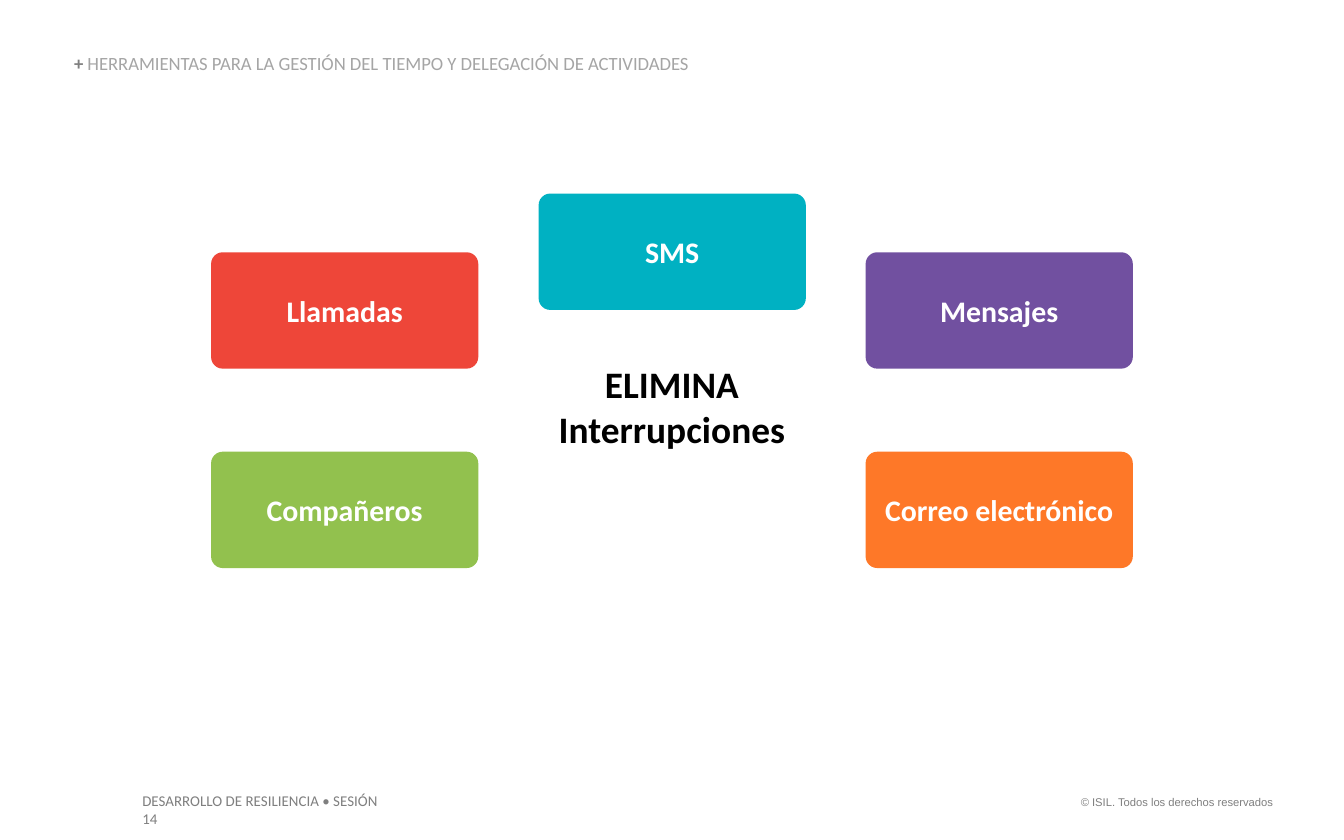
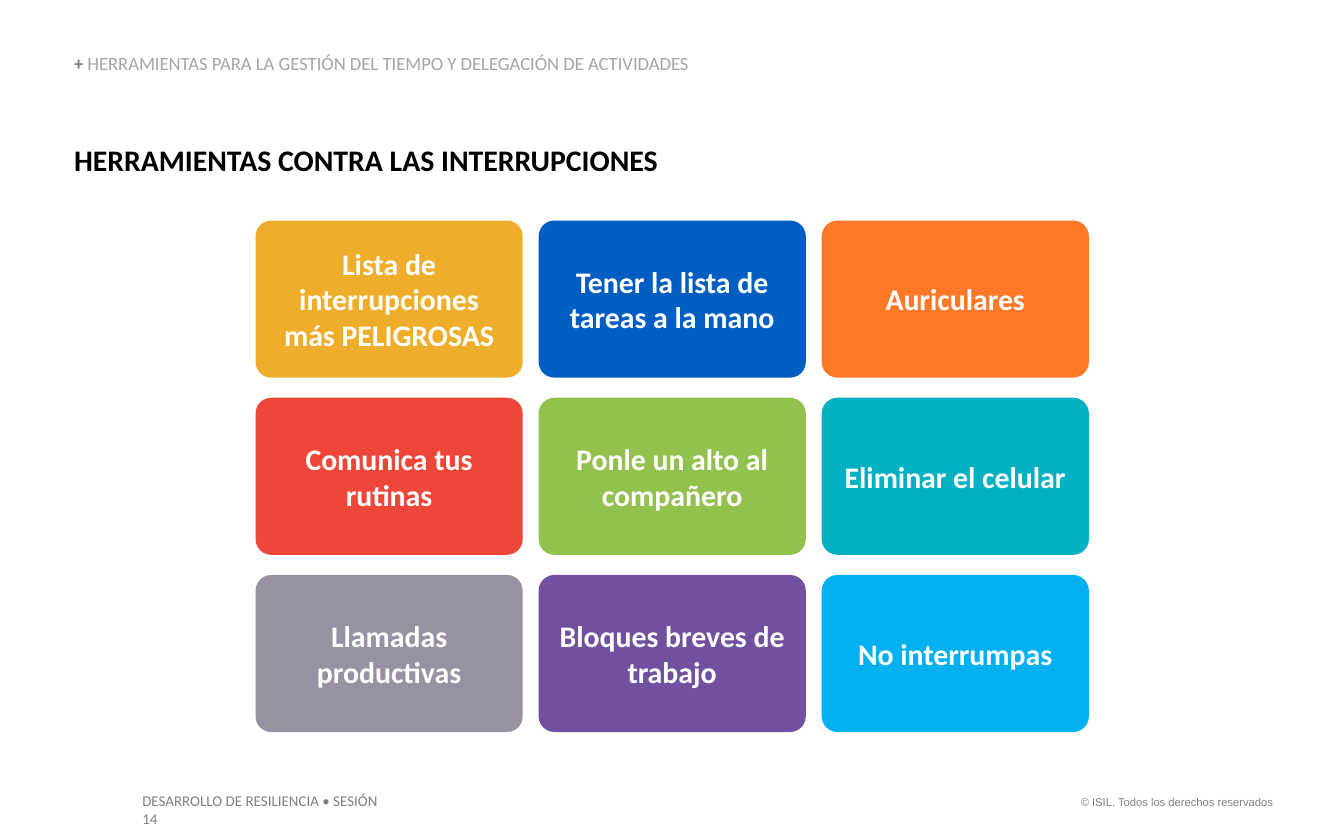
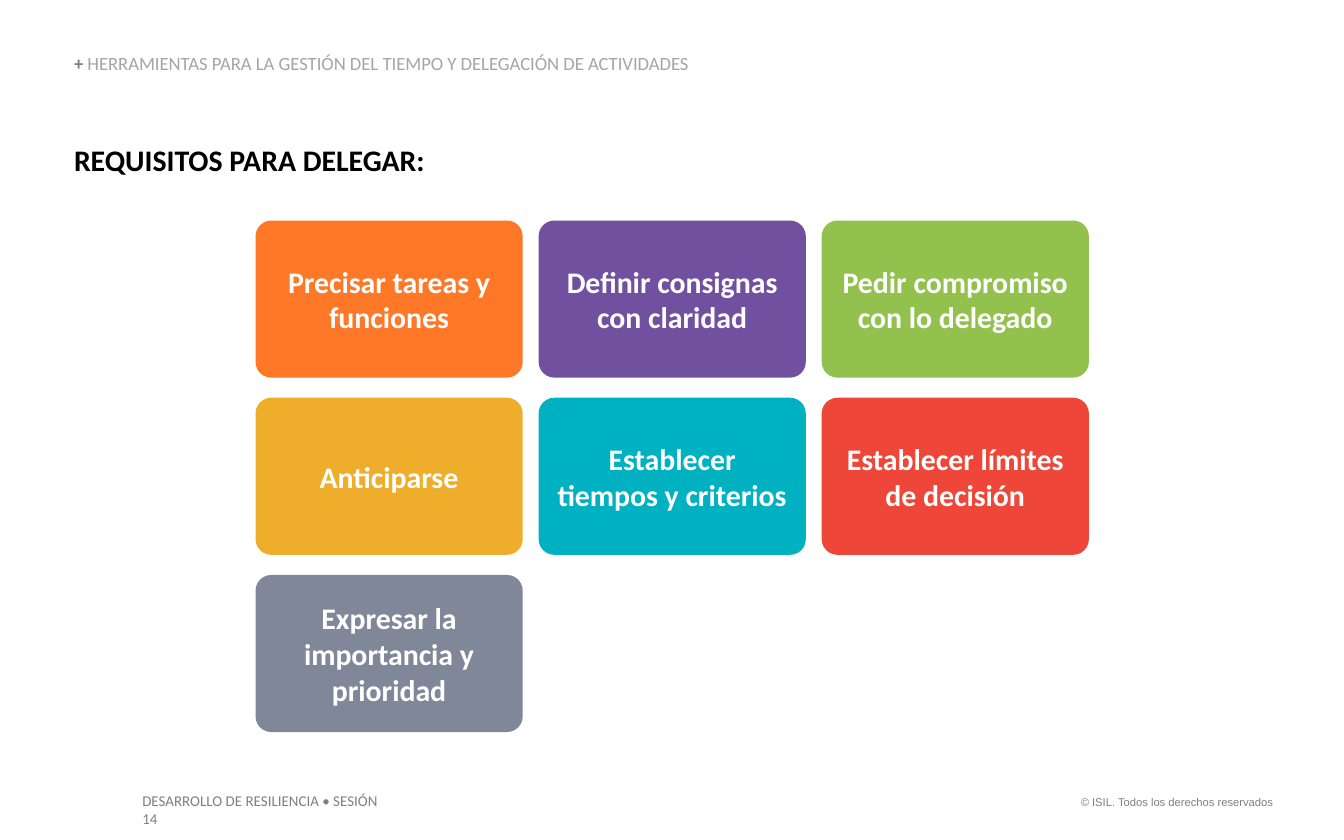
from pptx import Presentation
from pptx.dml.color import RGBColor
from pptx.enum.shapes import MSO_SHAPE
from pptx.enum.text import MSO_ANCHOR, MSO_AUTO_SIZE, PP_ALIGN
from pptx.util import Cm, Pt

COLORS = {
    "black": "000000", "white": "FFFFFF", "gray": "7F7F7F", "light_gray": "A5A5A5",
    "green": "92C14E", "red": "EE4639", "orange": "FE7828", "purple": "7150A0",
    "teal": "00B1C2", "yellow": "EEAD2A", "blue": "005EC2", "sky": "00B0F0",
    "mauve": "9791A1", "slate": "808799",
}
CARD_WIDTH = 5.05


class Deck:
    """Holds the shared style and the slide being built."""

    def __init__(self):
        self.presentation = Presentation()
        self.presentation.slide_width = Cm(25.4)
        self.presentation.slide_height = Cm(15.88)
        self.slide = None

    def new_slide(self):
        self.slide = self.presentation.slides.add_slide(self.presentation.slide_layouts[6])
        self.footer()
        self.section_header()

    def format_run(self, run, size, color, bold=False, font="Calibri"):
        run.font.name = font
        run.font.size = Pt(size)
        run.font.bold = bold
        run.font.color.rgb = RGBColor.from_string(COLORS[color])

    def text(self, content, left, top, width, height, size, color, bold=False,
             font="Calibri", align=PP_ALIGN.LEFT, margins=(0, 0)):
        shape = self.slide.shapes.add_textbox(Cm(left), Cm(top), Cm(width), Cm(height))
        frame = shape.text_frame
        frame.word_wrap = True
        frame.auto_size = MSO_AUTO_SIZE.SHAPE_TO_FIT_TEXT
        frame.margin_left = frame.margin_right = Cm(margins[0])
        frame.margin_top = frame.margin_bottom = Cm(margins[1])
        frame.text = content
        paragraph = frame.paragraphs[0]
        paragraph.alignment = align
        self.format_run(paragraph.runs[0], size, color, bold, font)
        return frame

    def footer(self):
        margins = (0.25, 0.13)
        self.text("© ISIL. Todos los derechos reservados", 20.02, 14.91, 4.29, 0.51,
                  6, "gray", font="Arial", align=PP_ALIGN.RIGHT, margins=margins)
        self.text("DESARROLLO DE RESILIENCIA • SESIÓN 14", 2.44, 14.83, 5.2, 0.61,
                  8, "gray", margins=margins)

    def section_header(self):
        frame = self.text("+ ", 1.4, 1.04, 12.14, 0.38, 10, "gray", bold=True)
        frame.vertical_anchor = MSO_ANCHOR.BOTTOM
        paragraph = frame.paragraphs[0]
        paragraph.line_spacing = 0.9
        run = paragraph.add_run()
        run.text = "HERRAMIENTAS PARA LA GESTIÓN DEL TIEMPO Y DELEGACIÓN DE ACTIVIDADES"
        self.format_run(run, 10, "light_gray")

    def title(self, content):
        self.text(content, 1.4, 2.67, 22, 0.69, 16, "black", bold=True)

    def card(self, content, color, left, top, height):
        shape = self.slide.shapes.add_shape(
            MSO_SHAPE.ROUNDED_RECTANGLE, Cm(left), Cm(top), Cm(CARD_WIDTH), Cm(height))
        shape.adjustments[0] = 0.1
        shape.shadow.inherit = False
        shape.fill.solid()
        shape.fill.fore_color.rgb = RGBColor.from_string(COLORS[color])
        shape.line.fill.background()
        frame = shape.text_frame
        frame.word_wrap = True
        frame.vertical_anchor = MSO_ANCHOR.MIDDLE
        frame.text = content
        paragraph = frame.paragraphs[0]
        paragraph.alignment = PP_ALIGN.CENTER
        self.format_run(paragraph.runs[0], 16, "white", bold=True)

    def card_grid(self, cards, columns=3):
        for index, (content, color) in enumerate(cards):
            row, column = divmod(index, columns)
            self.card(content, color, 4.83 + column * 5.35, 4.17 + row * 3.35, 2.97)


def main():
    deck = Deck()

    # Interruptions around the central message
    deck.new_slide()
    deck.text("ELIMINA Interrupciones", 10.1, 6.83, 5.2, 1.7, 20, "black",
              bold=True, align=PP_ALIGN.CENTER)
    left, center, right = 3.99, 10.18, 16.36
    upper, lower = 4.77, 8.54
    for content, color, x, y in [
        ("Compañeros", "green", left, lower),
        ("Llamadas", "red", left, upper),
        ("Correo electrónico", "orange", right, lower),
        ("Mensajes", "purple", right, upper),
        ("SMS", "teal", center, 3.66),
    ]:
        deck.card(content, color, x, y, 2.2)

    # Tools against interruptions
    deck.new_slide()
    deck.title("HERRAMIENTAS CONTRA LAS INTERRUPCIONES")
    deck.card_grid([
        ("Lista de interrupciones más PELIGROSAS", "yellow"),
        ("Tener la lista de tareas a la mano", "blue"),
        ("Auriculares", "orange"),
        ("Comunica tus rutinas", "red"),
        ("Ponle un alto al compañero", "green"),
        ("Eliminar el celular", "teal"),
        ("Llamadas productivas", "mauve"),
        ("Bloques breves de trabajo", "purple"),
        ("No interrumpas", "sky"),
    ])

    # Requirements for delegating
    deck.new_slide()
    deck.title("REQUISITOS PARA DELEGAR:")
    deck.card_grid([
        ("Precisar tareas y funciones", "orange"),
        ("Definir consignas con claridad", "purple"),
        ("Pedir compromiso con lo delegado", "green"),
        ("Anticiparse", "yellow"),
        ("Establecer tiempos y criterios", "teal"),
        ("Establecer límites de decisión", "red"),
        ("Expresar la importancia y prioridad", "slate"),
    ])

    deck.presentation.save("out.pptx")


if __name__ == "__main__":
    main()
